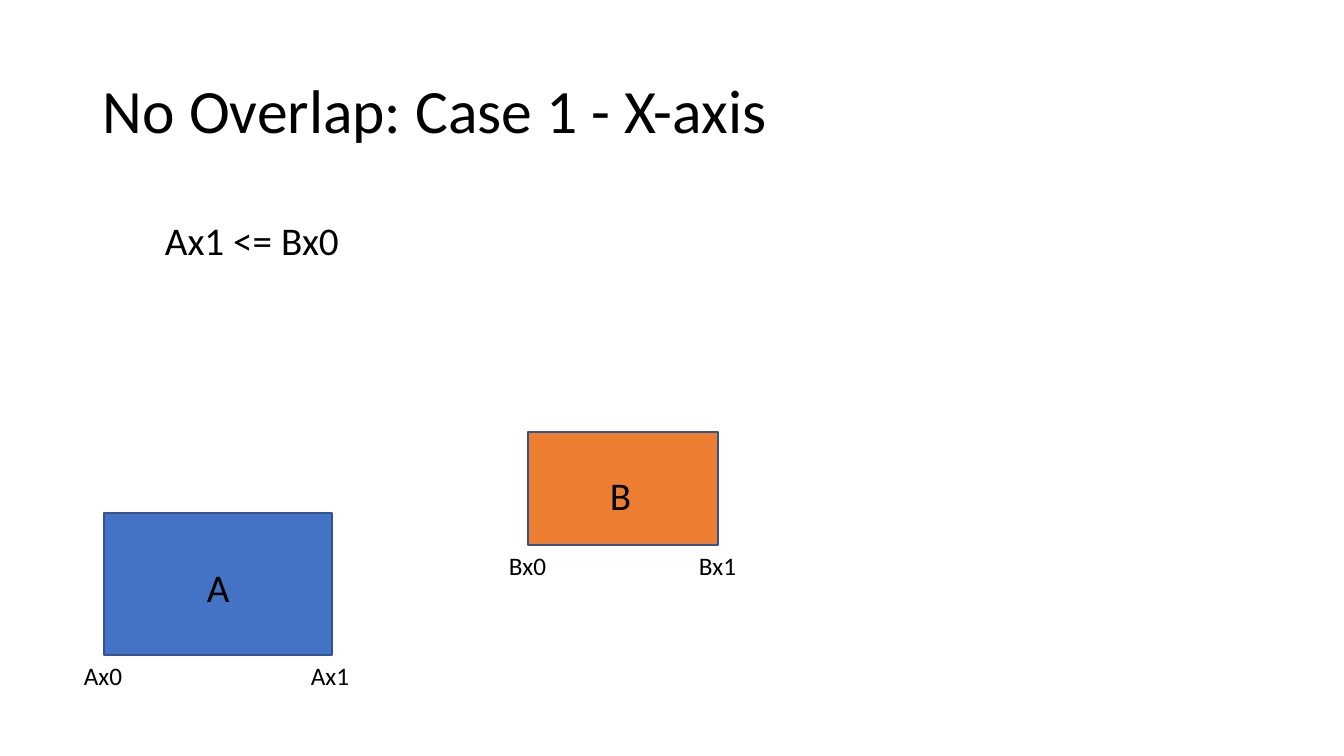
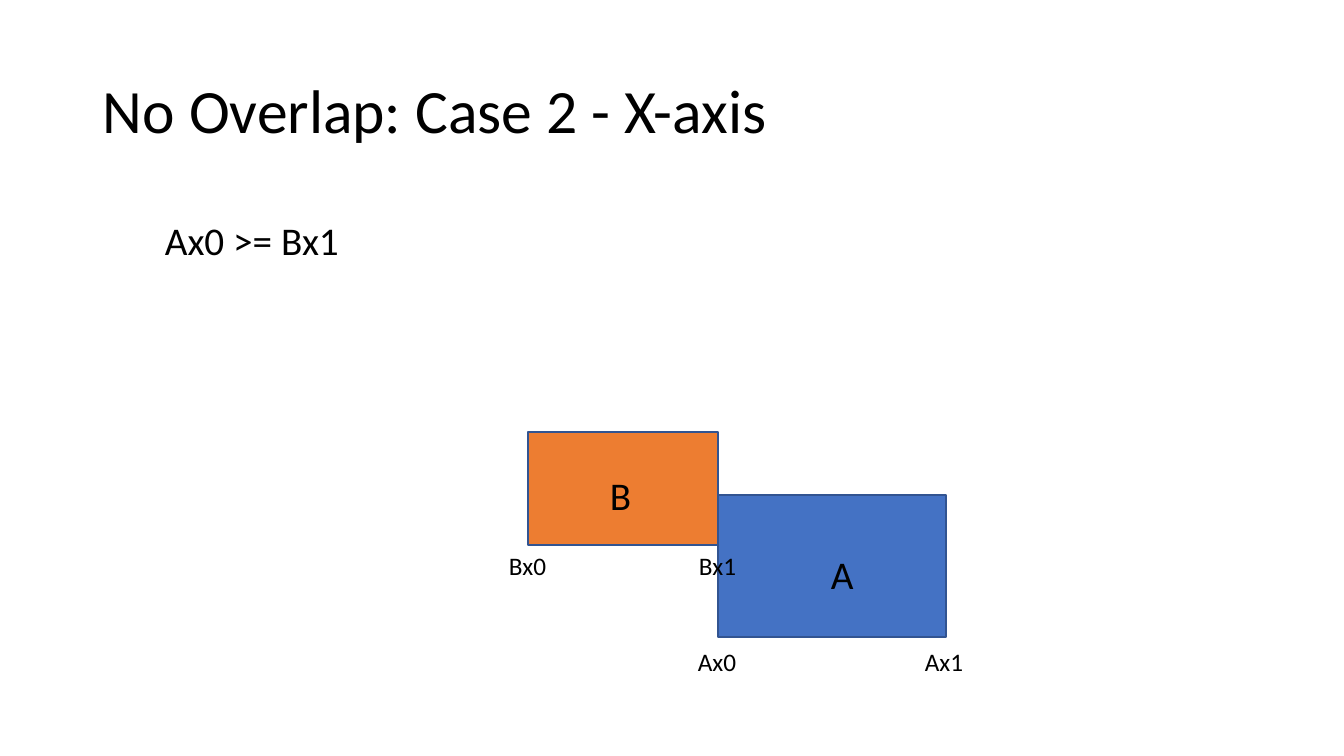
from pptx import Presentation
from pptx.dml.color import RGBColor as Rgb
from pptx.enum.shapes import MSO_SHAPE as Kind
from pptx.enum.text import MSO_ANCHOR as Anchor
from pptx.util import Pt

HUES = {"A": "4472C4", "B": "ED7D31", "edge": "325491", "text": "000000"}
FONT = "Calibri"
SCALE = 914400 / 100.8
SIZE = (1344, 756)
TITLE = (93, 41, 1159, 146)
RULE = (155, 211, 1033, 57)

BOXES = {
    "A": {"size": (228, 142), "ends": (("Ax0", 60), ("Ax1", 62))},
    "B": {"size": (190, 113), "ends": (("Bx0", 58), ("Bx1", 58))},
}
B_SPOT = {"at": (528, 432), "name": (72, 34, 46), "gap": 0}
CASES = [
    ("No Overlap: Case 1 - X-axis", "Ax1 <= Bx0",
     {"B": B_SPOT, "A": {"at": (104, 513), "name": (93, 45, 65), "gap": 0}}),
    ("No Overlap: Case 2 - X-axis", "Ax0 >= Bx1",
     {"B": B_SPOT, "A": {"at": (718, 495), "name": (103, 50, 50), "gap": 4}}),
]


def emu(*spans):
    return [round(span * SCALE) for span in spans]


def color(key):
    return Rgb.from_string(HUES[key])


def write(slide, text, area, size, anchor=Anchor.TOP, space=1.0, wrap=True):
    frame = slide.shapes.add_textbox(*emu(*area)).text_frame
    frame.word_wrap = wrap
    frame.vertical_anchor = anchor
    line = frame.paragraphs[0]
    line.text = text
    line.line_spacing = space
    line.font.name = FONT
    line.font.size = Pt(size)
    line.font.color.rgb = color("text")


def draw_box(slide, key, spot):
    area = (*spot["at"], *BOXES[key]["size"])
    box = slide.shapes.add_shape(Kind.RECTANGLE, *emu(*area))
    box.shadow.inherit = False
    box.fill.solid()
    box.fill.fore_color.rgb = color(key)
    box.line.color.rgb = color("edge")
    box.line.width = Pt(1)


def label_box(slide, key, spot):
    left, top = spot["at"]
    width, height = BOXES[key]["size"]
    dx, dy, span = spot["name"]
    write(slide, key, (left + dx, top + dy, span, 57), 28)
    base = top + height + spot["gap"]
    for edge, (text, wide) in zip((left, left + width), BOXES[key]["ends"]):
        write(slide, text, (edge - wide / 2, base, wide, 40), 18, wrap=False)


deck = Presentation()
deck.slide_width, deck.slide_height = emu(*SIZE)
for title, rule, spots in CASES:
    slide = deck.slides.add_slide(deck.slide_layouts[6])
    write(slide, title, TITLE, 44, Anchor.MIDDLE, 0.9)
    write(slide, rule, RULE, 28)
    for step in (draw_box, label_box):
        for key, spot in spots.items():
            step(slide, key, spot)
deck.save("out.pptx")
